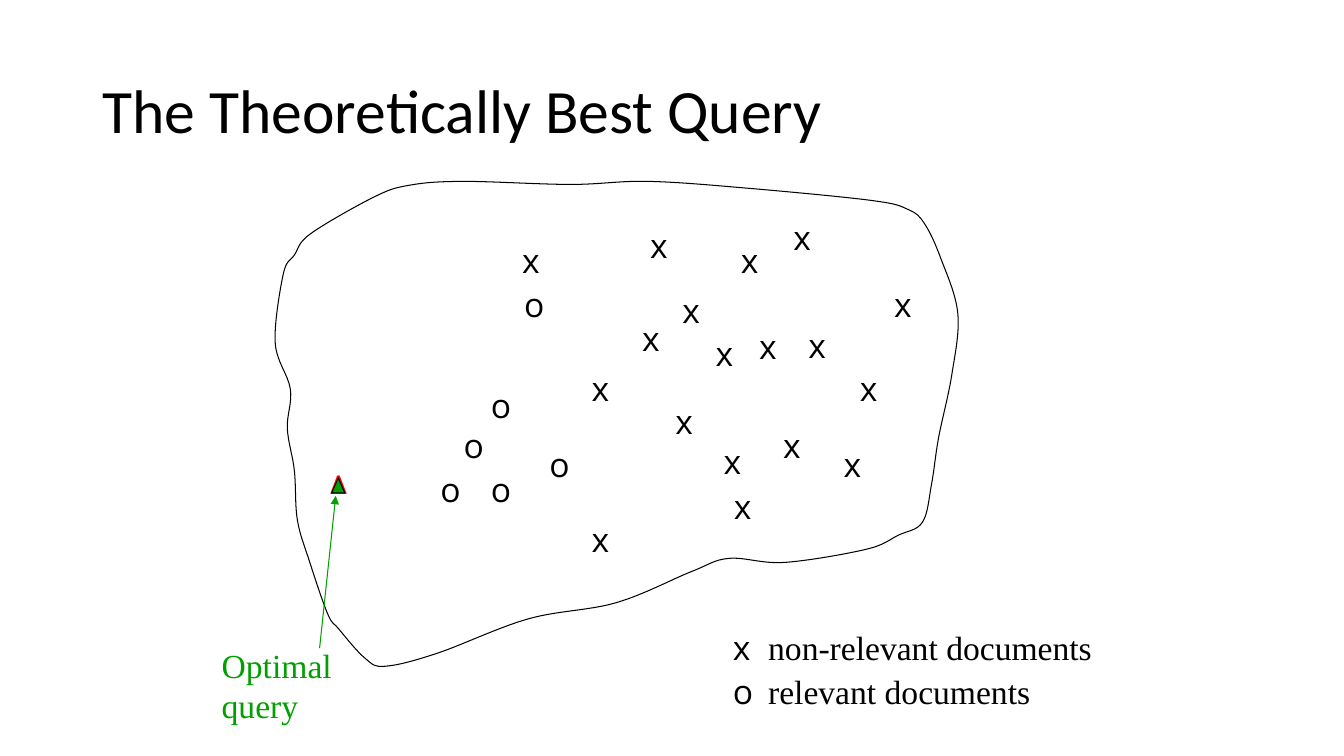
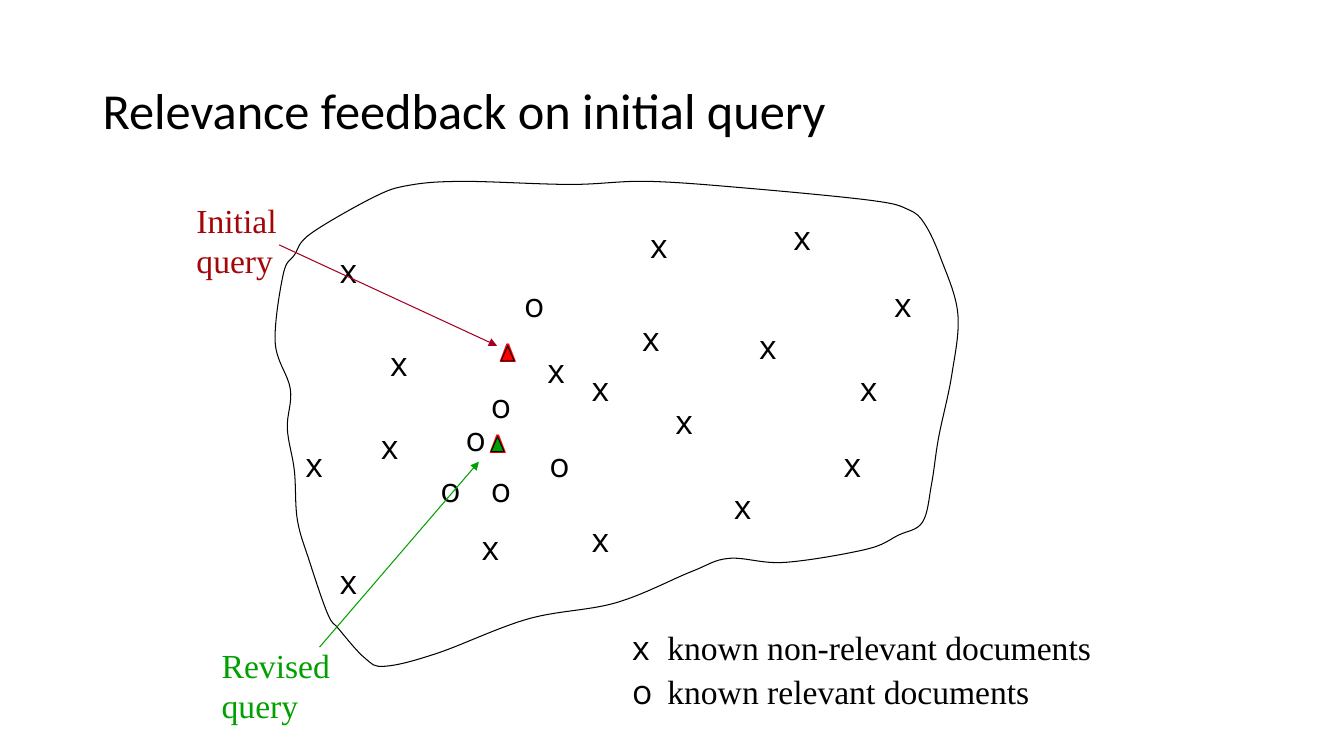
from dataclasses import dataclass

import lxml.etree
import pptx
import pptx.dml.color
import pptx.enum.shapes
import pptx.enum.text
import pptx.oxml
import pptx.oxml.ns
import pptx.util

Inches = pptx.util.Inches
Pt = pptx.util.Pt
qn = pptx.oxml.ns.qn


@dataclass(frozen=True)
class Theme:
    ink: str = "000000"
    paper: str = "FFFFFF"
    green: str = "00A000"
    red: str = "FF0000"
    label_red: str = "A40508"
    arrow_red: str = "A50021"
    title_font: str = "Calibri"
    mark_font: str = "Open Sans"
    text_font: str = "Times New Roman"
    title_size: int = 44
    long_title_size: int = 36
    text_size: int = 24
    query_size: int = 20
    line_width: float = 0.75


THEME = Theme()

CONTOUR = [
    (3.25, 6.09), (3.07, 5.57), (2.95, 5.16), (2.92, 4.67), (2.85, 4.25), (2.88, 3.86),
    (2.73, 3.4), (2.81, 2.72), (2.92, 2.53), (3.08, 2.32), (3.7, 1.96), (4.05, 1.84),
    (4.59, 1.8), (5.66, 1.83), (6.43, 1.8), (7.44, 1.87), (8.65, 1.99), (9.01, 2.08),
    (9.17, 2.22), (9.33, 2.56), (9.5, 3.11), (9.44, 3.72), (9.31, 4.34), (9.24, 4.8),
    (9.15, 5.18), (8.91, 5.31), (8.59, 5.45), (7.78, 5.58), (7.23, 5.54), (6.86, 5.67),
    (6.11, 5.98), (5.24, 6.14), (4.34, 6.48), (3.82, 6.61), (3.62, 6.53), (3.36, 6.24),
]

SHARED_NON_RELEVANT = [
    (5.77, 3.6), (6.27, 3.1), (6.6, 3.93), (6.35, 2.18), (7.43, 3.18), (7.77, 2.1),
    (5.77, 5.1), (8.43, 3.6), (7.18, 4.77), (8.27, 4.35), (8.77, 2.77),
]
SHARED_RELEVANT = [(4.27, 4.6), (5.35, 4.35), (4.77, 4.6), (5.1, 2.77), (4.77, 3.77)]


def rgb(value):
    return pptx.dml.color.RGBColor.from_string(value)


def apply(target, values):
    for name, value in values.items():
        setattr(target, name, value)


def smooth_controls(points):
    controls = []
    for index, start in enumerate(points):
        before = points[index - 1]
        end, after = (points[(index + step) % len(points)] for step in (1, 2))
        controls.append([a + (b - c) / 6 for a, b, c in zip(start, end, before)])
        controls.append([a - (b - c) / 6 for a, b, c in zip(end, after, start)])
        controls.append(end)
    return controls


class Deck:
    def __init__(self, theme):
        self.theme = theme
        self.deck = pptx.Presentation()
        apply(self.deck, {"slide_width": Inches(13.33), "slide_height": Inches(7.5)})
        self.slide = None

    def new_slide(self):
        self.slide = self.deck.slides.add_slide(self.deck.slide_layouts[6])

    def frame(self, box, grow=True, shapes=None):
        shapes = self.slide.shapes if shapes is None else shapes
        frame = shapes.add_textbox(*map(Inches, box)).text_frame
        auto = pptx.enum.text.MSO_AUTO_SIZE
        apply(frame, {
            "word_wrap": True,
            "auto_size": auto.SHAPE_TO_FIT_TEXT if grow else auto.NONE,
        })
        return frame

    def run(self, paragraph, text, font, size, color):
        run = paragraph.add_run()
        run.text = text
        apply(run.font, {"name": font, "size": Pt(size)})
        run.font.color.rgb = rgb(color)

    def outline(self, shape, fill):
        shape.shadow.inherit = False
        shape.fill.solid()
        shape.fill.fore_color.rgb = rgb(fill)
        shape.line.color.rgb = rgb(self.theme.ink)
        shape.line.width = Pt(self.theme.line_width)

    def title(self, text, size):
        frame = self.frame((0.92, 0.4, 11.5, 1.45), grow=False)
        frame.vertical_anchor = pptx.enum.text.MSO_ANCHOR.MIDDLE
        heading = frame.paragraphs[0]
        heading.line_spacing = 0.9
        self.run(heading, text, self.theme.title_font, size, self.theme.ink)

    def contour(self):
        start, *points = [tuple(map(Inches, point))
                          for point in [CONTOUR[0]] + smooth_controls(CONTOUR)]
        builder = self.slide.shapes.build_freeform(*start)
        builder.add_line_segments(points, close=True)
        contour = builder.convert_to_shape()
        segments = list(contour.element.iter(qn("a:lnTo")))
        for triple in zip(*[iter(segments)] * 3):
            curve = lxml.etree.Element(qn("a:cubicBezTo"))
            triple[0].addprevious(curve)
            for segment in triple:
                curve.append(segment[0])
                segment.getparent().remove(segment)
        self.outline(contour, self.theme.paper)

    def documents(self, mark, width, places):
        for left, top in places:
            paragraph = self.frame((left, top, width, 0.5)).paragraphs[0]
            self.run(paragraph, mark, self.theme.mark_font, self.theme.text_size, self.theme.ink)

    def label(self, text, box, color):
        paragraph = self.frame(box).paragraphs[0]
        self.run(paragraph, text, self.theme.text_font, self.theme.text_size, color)

    def arrow(self, start, end, color):
        arrow = self.slide.shapes.add_connector(
            pptx.enum.shapes.MSO_CONNECTOR.STRAIGHT, *map(Inches, start + end))
        arrow.line.color.rgb = rgb(color)
        arrow.line.width = Pt(self.theme.line_width)
        properties = arrow.element.spPr
        lxml.etree.SubElement(properties.find(qn("a:ln")), qn("a:tailEnd"), type="triangle")
        lxml.etree.SubElement(properties, qn("a:effectLst"))

    def query(self, left, top, fill):
        marker = self.slide.shapes.add_group_shape()
        delta = self.frame((left, top, 0.5, 0.43), shapes=marker.shapes).paragraphs[0]
        self.run(delta, "Δ", self.theme.text_font, self.theme.query_size, self.theme.red)
        triangle = marker.shapes.add_shape(
            pptx.enum.shapes.MSO_SHAPE.ISOSCELES_TRIANGLE,
            *map(Inches, (left + 0.12, top + 0.16, 0.13, 0.15)))
        self.outline(triangle, fill)

    def legend(self, left, prefix):
        frame = self.frame((left, 6.17, 11.09 - left, 0.95))
        entries = [("x", "non-relevant documents"), ("o", "relevant documents")]
        for index, (mark, meaning) in enumerate(entries):
            entry = frame.add_paragraph() if index else frame.paragraphs[0]
            tabs = lxml.etree.SubElement(entry._p.get_or_add_pPr(), qn("a:tabLst"))
            lxml.etree.SubElement(tabs, qn("a:tab"), pos=str(Inches(0.35)), algn="l")
            if index:
                entry.space_before = Pt(2.4)
            for text, font in ((mark, self.theme.mark_font),
                               ("\t" + prefix + meaning, self.theme.text_font)):
                self.run(entry, text, font, self.theme.text_size, self.theme.ink)

    def query_map(self, title, title_size, non_relevant, relevant, legend_left, prefix=""):
        self.new_slide()
        self.contour()
        self.title(title, title_size)
        self.documents("x", 0.33, SHARED_NON_RELEVANT + non_relevant)
        self.documents("o", 0.67, SHARED_RELEVANT + relevant)
        self.legend(legend_left, prefix)


def main():
    deck = Deck(THEME)
    target_label = (2.1, 6.35, 1.92, 0.91)

    deck.query_map(
        "The Theoretically Best Query", THEME.title_size,
        [(7.67, 4.17), (5.08, 2.33), (7.92, 3.17), (6.67, 2.83),
         (7, 3.25), (7.25, 2.33), (7.08, 4.33)],
        [(4.5, 4.17)], 7.17)
    deck.label("Optimal query", target_label, THEME.green)
    deck.arrow((3.17, 6.43), (3.33, 4.92), THEME.green)
    deck.query(3.17, 4.58, THEME.green)

    deck.query_map(
        "Relevance feedback on initial query", THEME.long_title_size,
        [(3.68, 4.18), (5.33, 3.42), (3.77, 3.35), (3.27, 2.43),
         (3.27, 5.52), (2.93, 4.35), (4.68, 5.18)],
        [(4.52, 4.1)], 6.17, "known ")
    deck.label("Revised query", target_label, THEME.green)
    deck.arrow((3.17, 6.42), (4.75, 4.58), THEME.green)
    deck.query(4.75, 4.17, THEME.green)
    deck.label("Initial query", (1.85, 1.93, 1.25, 0.91), THEME.label_red)
    deck.arrow((2.77, 2.43), (4.93, 3.43), THEME.arrow_red)
    deck.query(4.85, 3.27, THEME.red)

    deck.deck.save("out.pptx")


if __name__ == "__main__":
    main()
